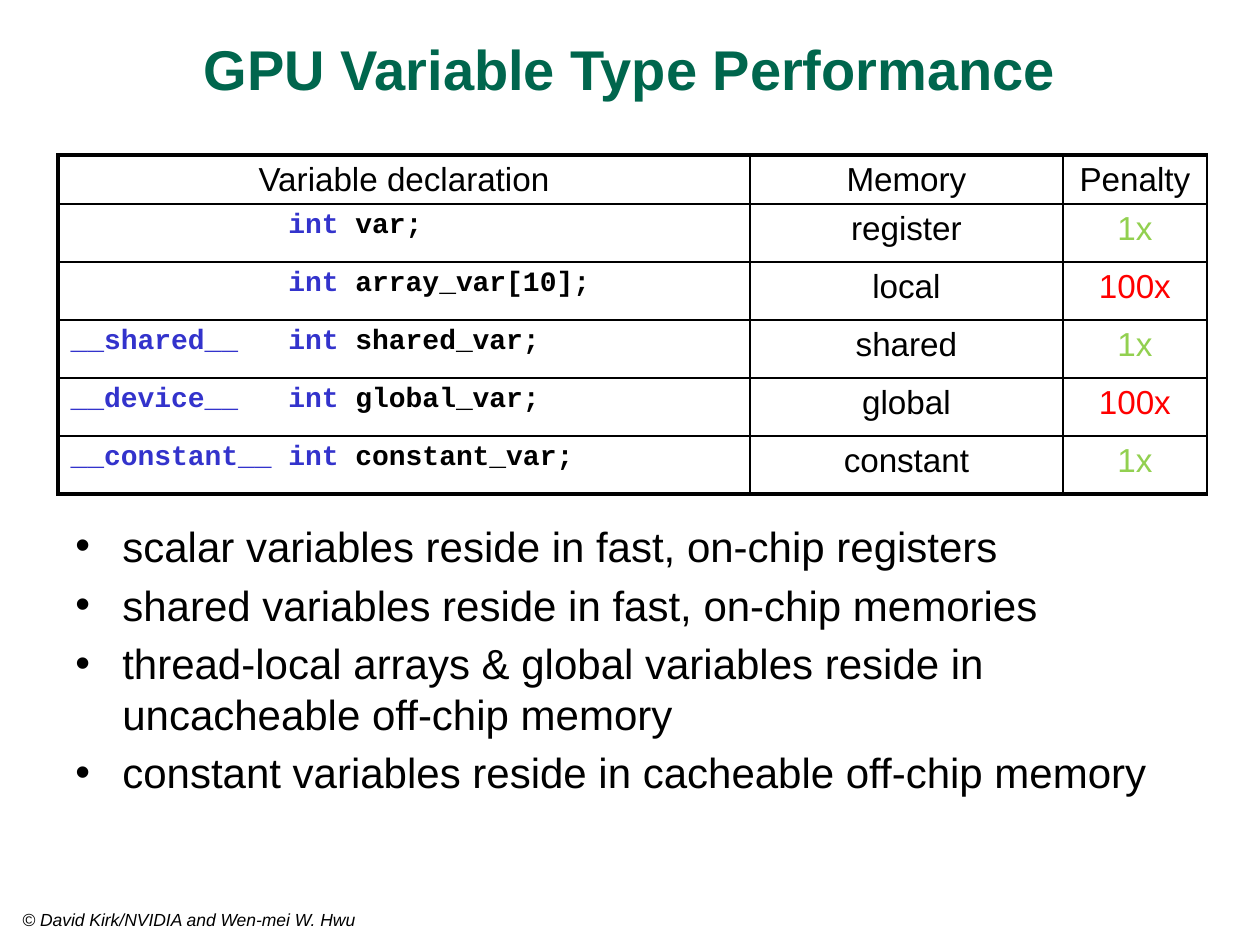
from lxml import etree
from pptx import Presentation
from pptx import util as u
from pptx.dml.color import RGBColor
from pptx.enum import text
from pptx.oxml.ns import qn

PX = u.Inches(1) / 126
GREEN = RGBColor(0x00, 0x66, 0x4D)
BLACK = RGBColor(0x00, 0x00, 0x00)
BLUE = RGBColor(0x33, 0x33, 0xCC)
LIME = RGBColor(0x92, 0xD0, 0x50)
RED = RGBColor(0xFF, 0x00, 0x00)
CENTER = text.PP_ALIGN.CENTER
PENALTY_COLORS = {"Penalty": BLACK, "1x": LIME, "100x": RED}
VARIABLES = [
    (" " * 13 + "int", " var;", "register", "1x"),
    (" " * 13 + "int", " array_var[10];", "local", "100x"),
    ("__shared__   int", " shared_var;", "shared", "1x"),
    ("__device__   int", " global_var;", "global", "100x"),
    ("__constant__ int", " constant_var;", "constant", "1x"),
]
NOTES = [
    "scalar variables reside in fast, on-chip registers",
    "shared variables reside in fast, on-chip memories",
    "thread-local arrays & global variables reside in uncacheable off-chip memory",
    "constant variables reside in cacheable off-chip memory",
]


def px(n):
    return u.Emu(round(n * PX))


class Deck:
    """Holds the style and the current slide, and adds elements to it."""

    font = "Arial"
    code_font = "Courier New"

    def __init__(self, width, height):
        self.prs = Presentation()
        self.prs.slide_width, self.prs.slide_height = px(width), px(height)
        self.s = self.prs.slides.add_slide(self.prs.slide_layouts[6])

    def style(self, font, size, color=BLACK, name=None, bold=False, italic=False):
        font.name, font.size = name or self.font, u.Pt(size)
        font.bold, font.italic = bold, italic
        font.color.rgb = color

    def label(self, box, words, size, align=None, anchor=text.MSO_ANCHOR.TOP, **look):
        tf = self.s.shapes.add_textbox(*map(px, box)).text_frame
        tf.word_wrap, tf.vertical_anchor = True, anchor
        tf.text = words
        for p in tf.paragraphs:
            p.alignment = align
            for r in p.runs:
                self.style(r.font, size, **look)
        return tf

    def bullets(self, box, lines, size, indent):
        tf = self.label(box, "\n".join(lines), size)
        for i, p in enumerate(tf.paragraphs):
            p.space_before = u.Pt(size * 0.2 if i else 0)
            pPr = p._p.get_or_add_pPr()
            pPr.set("marL", str(px(indent)))
            pPr.set("indent", str(-px(indent)))
            etree.SubElement(pPr, qn("a:buFont")).set("typeface", self.font)
            etree.SubElement(pPr, qn("a:buChar")).set("char", "•")

    def border(self, cell, **widths):
        tcPr = cell._tc.get_or_add_tcPr()
        for i, side in enumerate("LRTB"):
            ln = etree.Element(qn(f"a:ln{side}"), w=str(u.Pt(widths.get(side, 1))))
            fill = etree.SubElement(ln, qn("a:solidFill"))
            etree.SubElement(fill, qn("a:srgbClr")).set("val", str(BLACK))
            tcPr.insert(i, ln)

    def cell(self, cell, words, color=BLACK):
        p = cell.text_frame.paragraphs[0]
        p.text, p.alignment = words, CENTER
        self.style(p.runs[0].font, 19, color)

    def code(self, cell, keyword, name):
        p = cell.text_frame.paragraphs[0]
        for words, color in ((keyword, BLUE), (name, BLACK)):
            r = p.add_run()
            r.text = words
            self.style(r.font, 16, color, self.code_font, bold=True)

    def table(self, left, top, widths, heights, header, rows):
        n, m = len(heights), len(widths)
        frame = self.s.shapes.add_table(
            n, m, px(left), px(top), px(sum(widths)), px(sum(heights)))
        tbl = frame.table
        tbl.first_row = tbl.horz_banding = False
        for col, width in zip(tbl.columns, widths):
            col.width = px(width)
        for row, height in zip(tbl.rows, heights):
            row.height = px(height)
        for i in range(n):
            for j in range(m):
                c = tbl.cell(i, j)
                c.margin_bottom = px(2)
                c.fill.background()
                self.border(c, L=1 if j else 2.25, T=1 if i else 2.25,
                            B=2.25 if i == n - 1 else 1)
        self.cell(tbl.cell(0, 0), header[0])
        for i, (*code, memory, penalty) in enumerate([header] + rows):
            if i:
                self.code(tbl.cell(i, 0), *code)
            self.cell(tbl.cell(i, 1), memory)
            self.cell(tbl.cell(i, 2), penalty, PENALTY_COLORS[penalty])


def main():
    deck = Deck(1260, 945)
    deck.label((21, 21, 1218, 95), "GPU Variable Type Performance", 32, CENTER,
               text.MSO_ANCHOR.MIDDLE, color=GREEN, bold=True)
    deck.bullets((63, 514, 1134, 357), NOTES, 24, 47)
    deck.table(58, 155, (692, 313, 144), [49] + [58] * 5,
               ("Variable declaration", "Memory", "Penalty"), VARIABLES)
    deck.label((10, 903, 567, 32), "© David Kirk/NVIDIA and Wen-mei W. Hwu", 10,
               italic=True)
    deck.prs.save("out.pptx")


if __name__ == "__main__":
    main()
